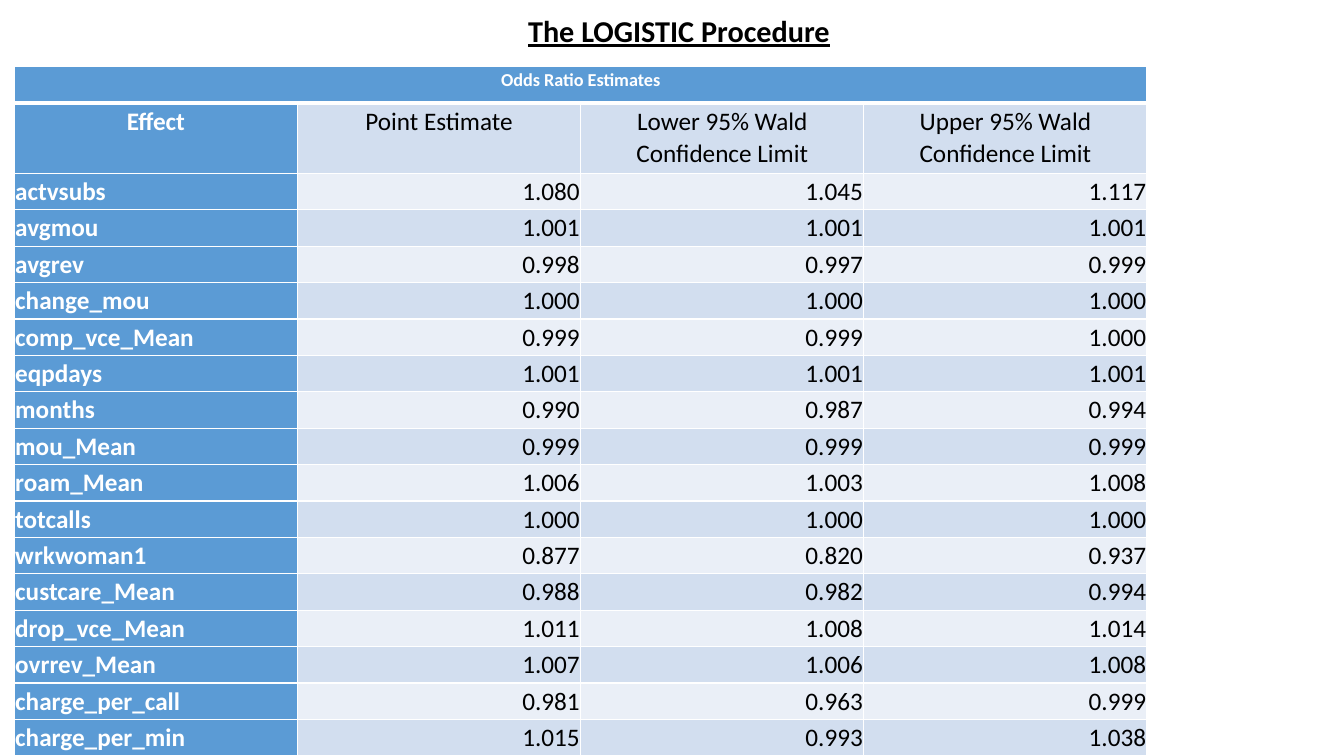
from lxml import etree
from pptx import Presentation
from pptx.dml.color import RGBColor
from pptx.enum.text import MSO_ANCHOR, MSO_AUTO_SIZE, PP_ALIGN
from pptx.oxml.ns import qn
from pptx.util import Pt

LEFT, CENTER, RIGHT = PP_ALIGN.LEFT, PP_ALIGN.CENTER, PP_ALIGN.RIGHT
BOTTOM, TOP = MSO_ANCHOR.BOTTOM, MSO_ANCHOR.TOP
NO_AUTOFIT = MSO_AUTO_SIZE.NONE

THEME = {
    "font": "Calibri",
    "ink": "000000", "white": "FFFFFF",
    "header": "5B9BD5", "band_dark": "D2DEEF", "band_light": "EAEFF7",
    "title_size": 21.6, "caption_size": 13, "cell_size": 18,
    "border": 1, "caption_border": 3,
}

CAPTION = "Odds Ratio Estimates"
HEADINGS = ("Effect", "Point Estimate",
            "Lower 95% Wald Confidence Limit", "Upper 95% Wald Confidence Limit")
ESTIMATES = [
    ("actvsubs", 1.080, 1.045, 1.117),
    ("avgmou", 1.001, 1.001, 1.001),
    ("avgrev", 0.998, 0.997, 0.999),
    ("change_mou", 1.000, 1.000, 1.000),
    ("comp_vce_Mean", 0.999, 0.999, 1.000),
    ("eqpdays", 1.001, 1.001, 1.001),
    ("months", 0.990, 0.987, 0.994),
    ("mou_Mean", 0.999, 0.999, 0.999),
    ("roam_Mean", 1.006, 1.003, 1.008),
    ("totcalls", 1.000, 1.000, 1.000),
    ("wrkwoman1", 0.877, 0.820, 0.937),
    ("custcare_Mean", 0.988, 0.982, 0.994),
    ("drop_vce_Mean", 1.011, 1.008, 1.014),
    ("ovrrev_Mean", 1.007, 1.006, 1.008),
    ("charge_per_call", 0.981, 0.963, 0.999),
    ("charge_per_min", 1.015, 0.993, 1.038),
]
TABLE_LEFT, TABLE_TOP = 10.2, 47.5
COLUMN_WIDTH, ROW_HEIGHT, HEADING_HEIGHT = 202.3, 26, 50.4


def format_paragraph(para, size, color, bold, align, spacing):
    para.alignment = align
    para.line_spacing = spacing
    para.font.name = THEME["font"]
    para.font.size = Pt(size)
    para.font.bold = bold
    para.font.color.rgb = RGBColor.from_string(color)


def set_borders(cell, top, bottom):
    """Put white borders on a cell, ahead of its fill as the schema asks."""
    properties = cell._tc.get_or_add_tcPr()
    widths = {"a:lnL": THEME["border"], "a:lnR": THEME["border"],
              "a:lnT": top, "a:lnB": bottom}
    for position, (tag, width) in enumerate(widths.items()):
        line = etree.Element(qn(tag), w=str(Pt(width)))
        fill = etree.SubElement(line, qn("a:solidFill"))
        etree.SubElement(fill, qn("a:srgbClr"), val=THEME["white"])
        properties.insert(position, line)


# Deck and page
deck = Presentation()
deck.slide_width, deck.slide_height = Pt(960), Pt(540)
page = deck.slides.add_slide(deck.slide_layouts[5])

# Title
title = page.shapes.title
title.left, title.top, title.width, title.height = Pt(10), Pt(0), Pt(950), Pt(39)
title.text_frame.text = "The LOGISTIC Procedure"
title.text_frame.auto_size = NO_AUTOFIT
title.text_frame.vertical_anchor = BOTTOM
title_para = title.text_frame.paragraphs[0]
format_paragraph(title_para, THEME["title_size"], THEME["ink"], True, CENTER, 0.9)
title_para.font.underline = True

# Table grid
rows = [(CAPTION, "", "", ""), HEADINGS]
rows += [(name, *(f"{value:.3f}" for value in values)) for name, *values in ESTIMATES]
heights = [HEADING_HEIGHT if row is HEADINGS else ROW_HEIGHT for row in rows]
table = page.shapes.add_table(
    len(rows), len(HEADINGS), Pt(TABLE_LEFT), Pt(TABLE_TOP),
    Pt(COLUMN_WIDTH * len(HEADINGS)), Pt(sum(heights))).table
table.first_col = True
for column in table.columns:
    column.width = Pt(COLUMN_WIDTH)
for table_row, height in zip(table.rows, heights):
    table_row.height = Pt(height)
table.cell(0, 0).merge(table.cell(0, len(HEADINGS) - 1))

# Table cells
for row_index, row in enumerate(rows):
    is_caption = row_index == 0
    band = THEME["band_dark"] if row_index % 2 else THEME["band_light"]
    for column_index, text in enumerate(row):
        cell = table.cell(row_index, column_index)
        is_header = is_caption or column_index == 0
        cell.fill.solid()
        cell.fill.fore_color.rgb = RGBColor.from_string(
            THEME["header"] if is_header else band)
        set_borders(cell,
                    THEME["caption_border"] if row_index == 1 else THEME["border"],
                    THEME["caption_border"] if is_caption else THEME["border"])
        if cell.is_spanned:
            continue
        cell.margin_left = cell.margin_right = Pt(0.7)
        cell.margin_top = cell.margin_bottom = Pt(0.7)
        cell.vertical_anchor = TOP
        cell.text = text
        if row_index < 2:
            align = CENTER
        else:
            align = LEFT if is_header else RIGHT
        format_paragraph(cell.text_frame.paragraphs[0],
                         THEME["caption_size"] if is_caption else THEME["cell_size"],
                         THEME["white"] if is_header else THEME["ink"],
                         is_header, align, 1.07)

deck.save("out.pptx")
